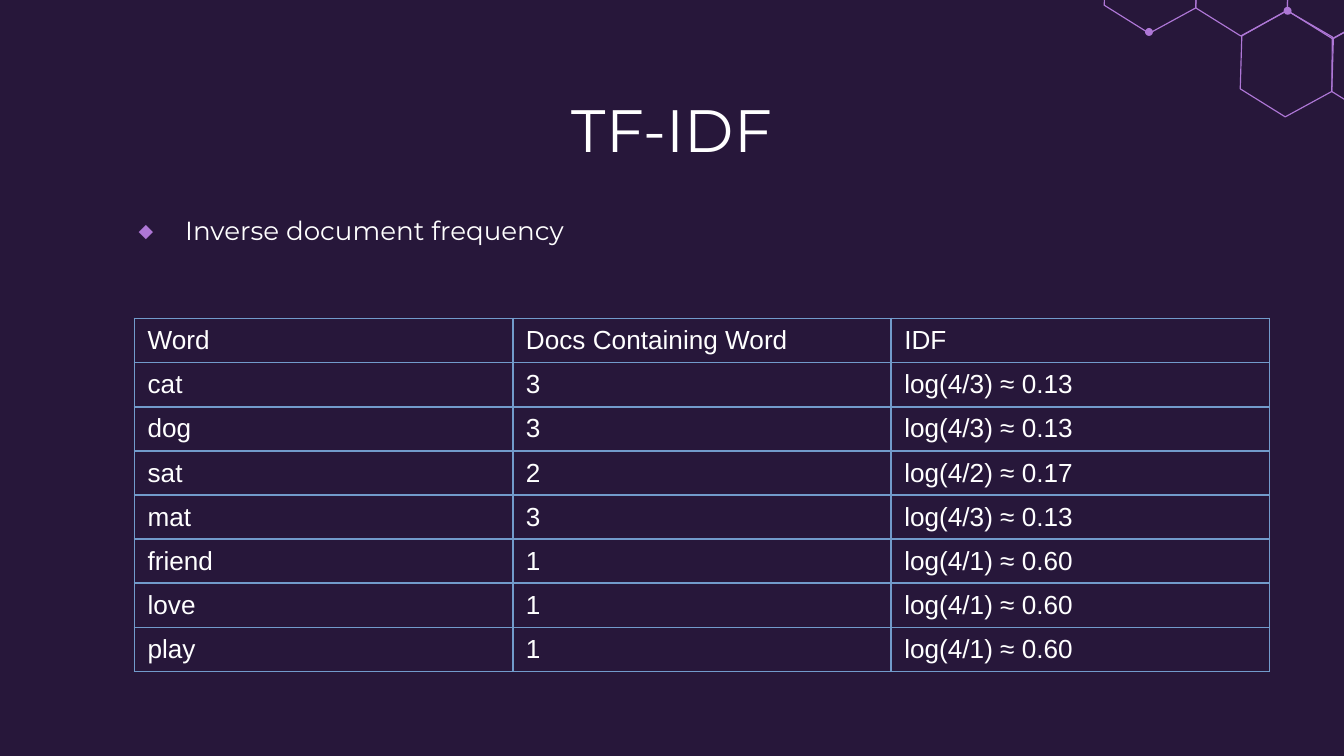
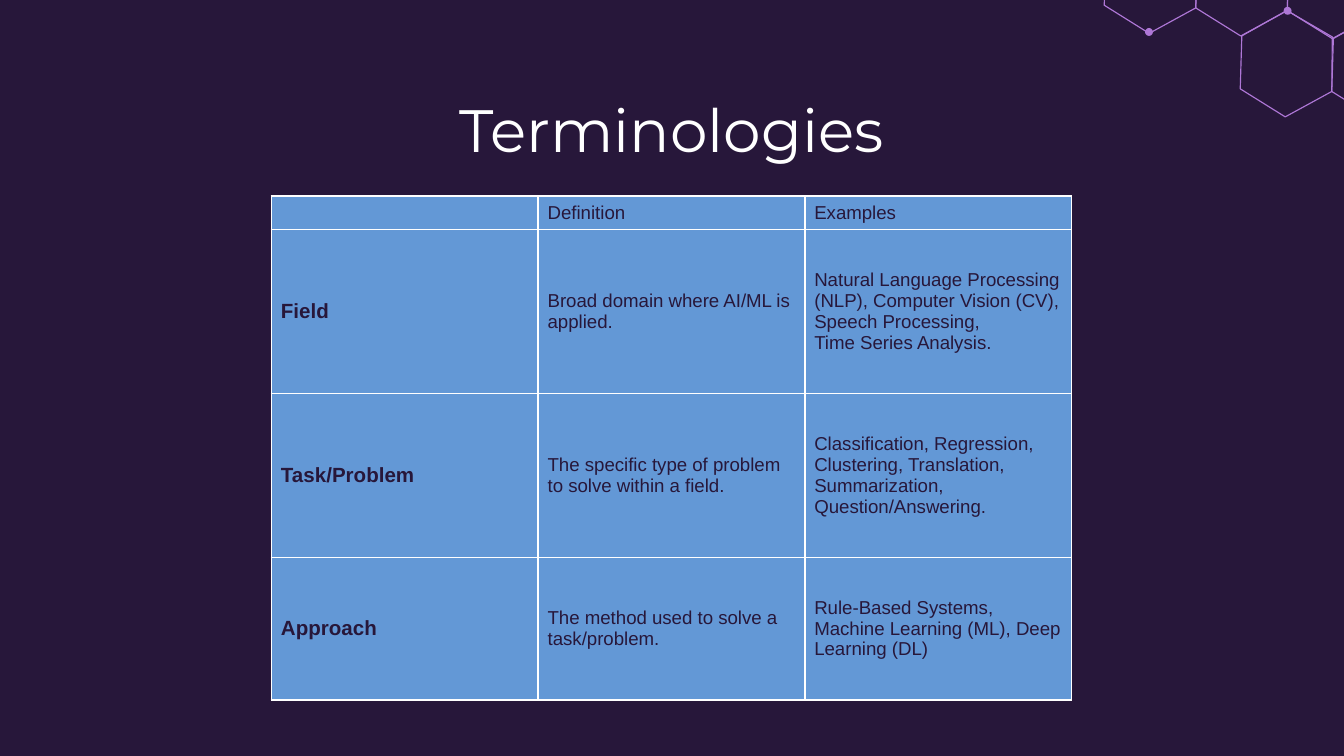
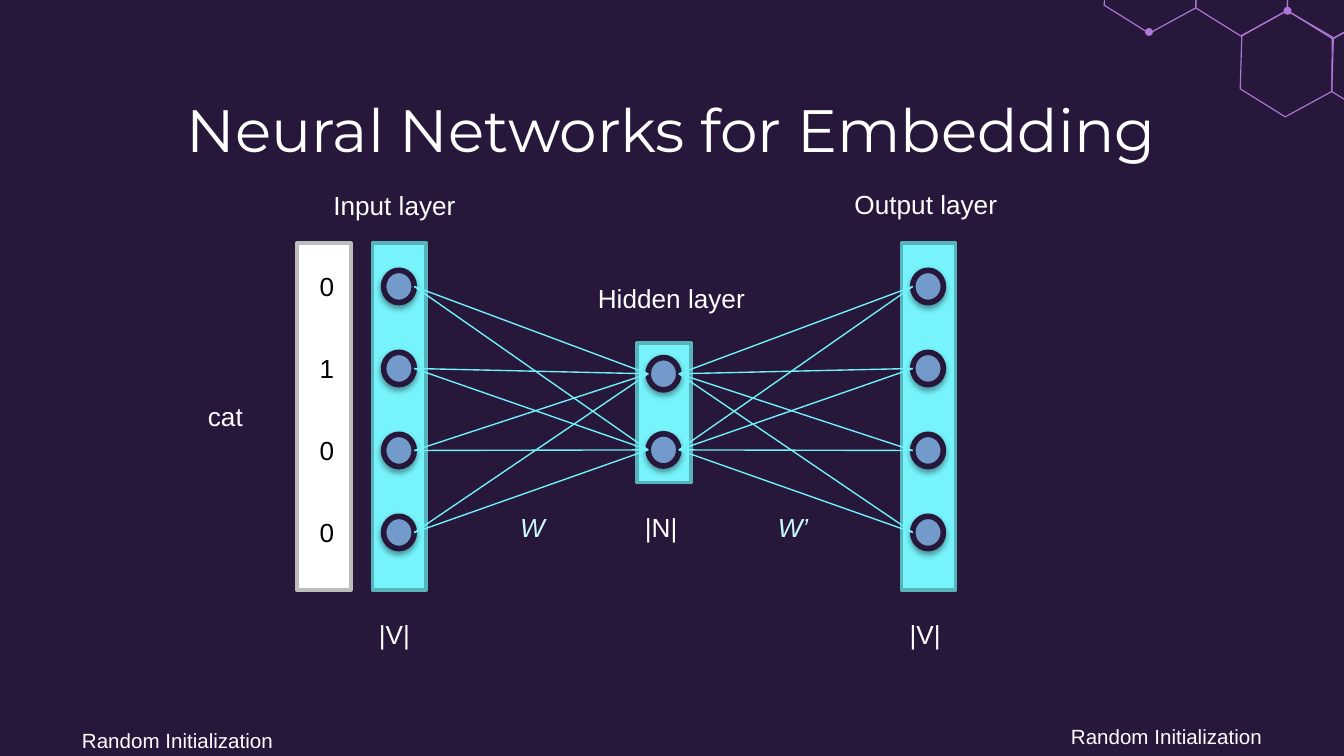
from itertools import product

from lxml import etree
from pptx import Presentation
from pptx.dml.color import RGBColor
from pptx.enum import shapes, text
from pptx.oxml.ns import qn
from pptx.util import Cm, Pt

NIGHT, VIOLET, WHITE, BLACK = "27173A", "AE77D6", "FFFFFF", "000000"
STEEL, SKY = "729BCB", "6398D6"
CYAN, TEAL, BEAM, ICE, SILVER = "76F3FB", "57B4BA", "70F1F9", "C8FAFD", "BDBDBD"
HEADING_FONT, TEXT_FONT = "Montserrat", "Arial"


def rgb(value):
    return RGBColor.from_string(value)


def sub(parent, tag, **attributes):
    """Append a DrawingML child element and return it."""
    child = etree.SubElement(parent, qn(tag))
    for key, value in attributes.items():
        child.set(key, str(value))
    return child


class Deck:
    def __init__(self):
        self.prs = Presentation()
        self.prs.slide_width, self.prs.slide_height = Cm(25.4), Cm(14.29)
        self.layout = self.prs.slide_layouts.get_by_name("Title Only")
        for placeholder in list(self.layout.placeholders)[1:]:
            placeholder.element.getparent().remove(placeholder.element)
        background = self.prs.slide_master.background.fill
        background.solid()
        background.fore_color.rgb = rgb(NIGHT)
        self.slide = None

    def open_slide(self, heading):
        first = self.slide is None
        self.slide = self.prs.slides.add_slide(self.layout)
        if first:
            self.honeycomb()
        title = self.slide.shapes.title
        title.left, title.top, title.width, title.height = Cm(1.98), Cm(1.5), Cm(21.44), Cm(1.6)
        frame = title.text_frame
        frame.text = heading
        frame.auto_size = text.MSO_AUTO_SIZE.NONE
        frame.vertical_anchor = text.MSO_ANCHOR.TOP
        self.insets(frame, 0.25, 0.25)
        frame.paragraphs[0].alignment = text.PP_ALIGN.CENTER
        self.style_runs(frame, 32, font=HEADING_FONT)

    def honeycomb(self):
        """Draw the corner hexagons once and hand them to the layout."""
        group = self.slide.shapes.add_group_shape()
        step_x, step_y = 1.73, 0.05
        corners = [(0, 0), (0.03, -1), (0.88, -1.48), (1.74, -0.98), (step_x, step_y), (0.85, 0.53)]
        for (row_x, row_y), count in (((24.33, 0.2), 3), ((25.17, 1.73), 2)):
            for i in range(count):
                points = [(Cm(row_x - i * step_x + dx), Cm(row_y - i * step_y + dy))
                          for dx, dy in corners]
                outline = group.shapes.build_freeform(*points[0])
                outline.add_line_segments(points[1:], close=True)
                self.paint(outline.convert_to_shape(), None, VIOLET, 0.61)
        for x, y in ((24.26, 0.13), (21.64, 0.53)):
            dot = group.shapes.add_shape(shapes.MSO_SHAPE.OVAL, Cm(x), Cm(y), Cm(0.15), Cm(0.15))
            self.paint(dot, VIOLET)
        self.layout.shapes.element.append(group.element)

    def paint(self, shape, fill=None, line=None, weight=1):
        shape.shadow.inherit = False
        if fill:
            shape.fill.solid()
            shape.fill.fore_color.rgb = rgb(fill)
        else:
            shape.fill.background()
        if line:
            shape.line.color.rgb = rgb(line)
            shape.line.width = Pt(weight)
        else:
            shape.line.fill.background()

    def insets(self, holder, side, end):
        """Set the inner margins of a text frame or a table cell."""
        holder.margin_left = holder.margin_right = Cm(side)
        holder.margin_top = holder.margin_bottom = Cm(end)

    def style_runs(self, frame, size, color=WHITE, font=TEXT_FONT, bold=False, italic=False):
        for paragraph in frame.paragraphs:
            for run in paragraph.runs:
                run.font.name, run.font.size = font, Pt(size)
                run.font.bold, run.font.italic = bold, italic
                run.font.color.rgb = rgb(color)
            if not paragraph.runs:
                sub(paragraph._p, "a:endParaRPr", sz=size * 100)

    def bullet(self, words, x, y, width, height):
        frame = self.slide.shapes.add_textbox(Cm(x), Cm(y), Cm(width), Cm(height)).text_frame
        frame.word_wrap = True
        frame.text = words
        self.insets(frame, 0.25, 0.25)
        properties = frame.paragraphs[0]._p.get_or_add_pPr()
        properties.set("marL", str(Cm(1.27)))
        properties.set("indent", str(Cm(-0.89)))
        sub(sub(properties, "a:buClr"), "a:srgbClr", val=VIOLET)
        sub(properties, "a:buFont", typeface=HEADING_FONT)
        sub(properties, "a:buChar", char="◆")
        self.style_runs(frame, 14, font=HEADING_FONT)

    def label(self, words, x, y, width, size=14, color=WHITE, italic=False):
        height = 0.86 if size == 14 else 0.74
        frame = self.slide.shapes.add_textbox(Cm(x), Cm(y), Cm(width), Cm(height)).text_frame
        frame.word_wrap = False
        frame.auto_size = text.MSO_AUTO_SIZE.SHAPE_TO_FIT_TEXT
        frame.text = words
        self.style_runs(frame, size, color, italic=italic)

    def table(self, rows, x, y, col_width, heights, border, fill=None, ink=WHITE, size=14,
              insets=(0.25, 0.12), bold_size=None):
        """Add a bordered table; bold_size sets off the first column below the header."""
        table = self.slide.shapes.add_table(
            len(rows), len(rows[0]), Cm(x), Cm(y),
            Cm(col_width * len(rows[0])), Cm(sum(heights))).table
        table.first_row = table.horz_banding = False
        for column in table.columns:
            column.width = Cm(col_width)
        for row, height in zip(table.rows, heights):
            row.height = Cm(height)
        for r, c in product(range(len(rows)), range(len(rows[0]))):
            cell = table.cell(r, c)
            cell.text_frame.text = rows[r][c]
            cell.vertical_anchor = text.MSO_ANCHOR.MIDDLE
            self.insets(cell, *insets)
            bold = bool(bold_size and r and not c)
            self.style_runs(cell.text_frame, bold_size if bold else size, ink, bold=bold)
            self.cell_borders(cell, border)
            if fill:
                cell.fill.solid()
                cell.fill.fore_color.rgb = rgb(fill)
            else:
                cell.fill.background()

    def cell_borders(self, cell, color):
        properties = cell._tc.get_or_add_tcPr()
        for side in "LRTB":
            line = sub(properties, f"a:ln{side}", w=Pt(1))
            sub(sub(line, "a:solidFill"), "a:srgbClr", val=color)

    def bar(self, x, y, height, fill=CYAN, line=TEAL):
        bar = self.slide.shapes.add_shape(
            shapes.MSO_SHAPE.RECTANGLE, Cm(x), Cm(y), Cm(1.02), Cm(height))
        self.paint(bar, fill, line, 2)

    def neuron(self, x, y):
        neuron = self.slide.shapes.add_shape(
            shapes.MSO_SHAPE.OVAL, Cm(x), Cm(y), Cm(0.58), Cm(0.61))
        self.paint(neuron, STEEL, NIGHT, 3)
        effects = neuron.element.spPr.find(qn("a:effectLst"))
        shadow = sub(effects, "a:outerShdw", blurRad=Pt(3.1), dist=Pt(1.6),
                     dir=90 * 60000, rotWithShape=0)
        sub(sub(shadow, "a:srgbClr", val=BLACK), "a:alpha", val=38000)
        return neuron

    def synapse(self, source, target):
        """Draw a line from a neuron's right edge to another's left edge."""
        line = self.slide.shapes.add_connector(
            shapes.MSO_CONNECTOR.STRAIGHT,
            source.left + source.width, source.top + source.height // 2,
            target.left, target.top + target.height // 2)
        line.line.color.rgb = rgb(BEAM)
        line.line.width = Pt(0.75)
        sub(line.element.spPr, "a:effectLst")


def tf_idf(deck):
    deck.open_slide("TF-IDF")
    deck.bullet("Inverse document frequency", 1.98, 3.81, 21.44, 9.19)
    rows = [
        ("Word", "Docs Containing Word", "IDF"),
        ("cat", "3", "log(4/3) ≈ 0.13"),
        ("dog", "3", "log(4/3) ≈ 0.13"),
        ("sat", "2", "log(4/2) ≈ 0.17"),
        ("mat", "3", "log(4/3) ≈ 0.13"),
        ("friend", "1", "log(4/1) ≈ 0.60"),
        ("love", "1", "log(4/1) ≈ 0.60"),
        ("play", "1", "log(4/1) ≈ 0.60"),
    ]
    deck.table(rows, 2.54, 6.02, 7.15, [0.81] * len(rows), STEEL)


def terminologies(deck):
    deck.open_slide("Terminologies")
    rows = [
        ("", "Definition", "Examples"),
        ("Field", "Broad domain where AI/ML is applied.",
         "Natural Language Processing (NLP), Computer Vision (CV), Speech Processing,\n"
         "Time Series Analysis."),
        ("Task/Problem", "The specific type of problem to solve within a field.",
         "Classification, Regression, Clustering, Translation, Summarization, "
         "Question/Answering."),
        ("Approach", "The method used to solve a task/problem.",
         "Rule-Based Systems, Machine Learning (ML), Deep Learning (DL)"),
    ]
    deck.table(rows, 5.13, 3.71, 5.04, [0.58, 3.1, 3.1, 2.69], WHITE, fill=SKY, ink=NIGHT,
               size=10, insets=(0.18, 0.1), bold_size=11)


def neural_network(deck):
    deck.open_slide("Neural Networks for Embedding")
    top, height, pitch = 4.6, 6.55, 1.55
    vocabulary_rows = [5.11 + i * pitch for i in range(4)]
    layers = []
    for x, y, bar_height, neuron_rows in (
            (7.04, top, height, vocabulary_rows),
            (12.04, 6.48, 2.64, [6.76, 8.2]),
            (17.04, top, height, vocabulary_rows)):
        deck.bar(x, y, bar_height)
        layers.append([deck.neuron(x + 0.21, row) for row in neuron_rows])
    for sources, targets in zip(layers, layers[1:]):
        for source, target in product(sources, targets):
            deck.synapse(source, target)

    for words, x, y, width in (
            ("|V|", 6.91, 11.56, 1.17), ("|N|", 11.94, 9.55, 1.19), ("|V|", 16.94, 11.56, 1.17),
            ("Input layer", 6.05, 3.45, 3), ("Hidden layer", 11.05, 5.21, 3.28),
            ("Output layer", 15.9, 3.43, 3.28), ("cat", 3.68, 7.44, 1.32)):
        deck.label(words, x, y, width)
    for weights, x in (("W", 9.58), ("W’", 14.45)):
        deck.label(weights, x, 9.55, 1.19, color=ICE, italic=True)

    deck.bar(5.61, top, height, WHITE, SILVER)
    for i, digit in enumerate("0100"):
        deck.label(digit, 5.88, 4.98 + i * pitch, 0.41, color=BLACK)
    for x, y in ((1.3, 13.64), (19.99, 13.56)):
        deck.label("Random Initialization", x, y, 4.5, size=11)


def main():
    deck = Deck()
    tf_idf(deck)
    terminologies(deck)
    neural_network(deck)
    deck.prs.save("out.pptx")


if __name__ == "__main__":
    main()
